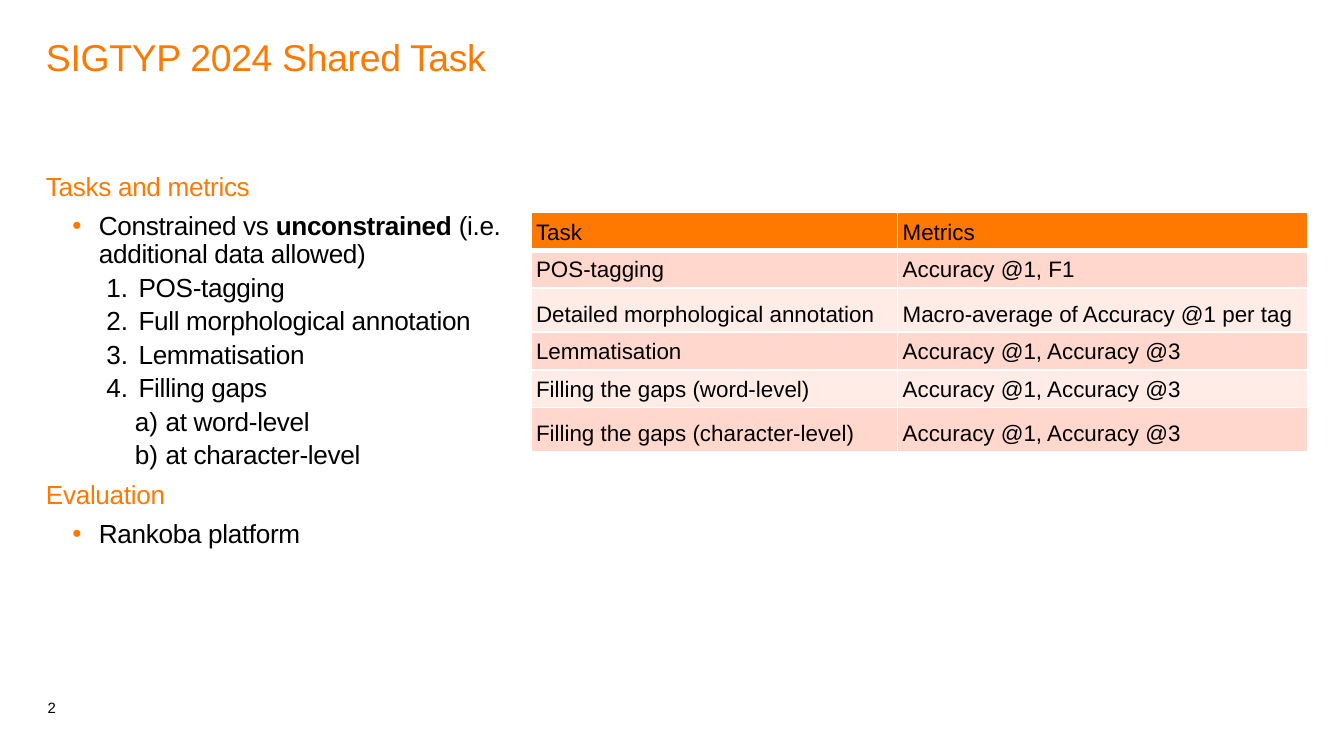
from dataclasses import dataclass

from lxml import etree
from pptx import Presentation
from pptx.dml.color import RGBColor
from pptx.enum.text import MSO_ANCHOR as Anchor
from pptx.oxml.ns import qn
from pptx.util import Cm, Pt

FONT = "Arial"
ORANGE, BLACK, WHITE = "FF7900", "000000", "FFFFFF"
BANDS = ("FFD7CC", "FFECE7")


@dataclass(frozen=True)
class ListStyle:
    level: int
    margin: float  # cm
    hang: float  # cm
    before: float  # pt
    marker: str
    marker_color: str


@dataclass(frozen=True)
class Item:
    runs: tuple[str, ...]  # every second run is bold
    style: ListStyle | None = None  # None marks a heading


BULLET = ListStyle(1, 1.0, 0.5, 6, "•", ORANGE)
NUMBER = ListStyle(2, 1.75, 0.61, 2.8, "arabicPeriod", BLACK)
LETTER = ListStyle(3, 2.26, 0.58, 2.8, "alphaLcParenR", BLACK)

ITEMS = [
    Item(("Tasks and metrics",)),
    Item(("Constrained vs ", "unconstrained", " (i.e. additional data allowed)"), BULLET),
    Item(("POS-tagging",), NUMBER),
    Item(("Full morphological annotation",), NUMBER),
    Item(("Lemmatisation",), NUMBER),
    Item(("Filling gaps",), NUMBER),
    Item(("at word-level",), LETTER),
    Item(("at character-level",), LETTER),
    Item(("Evaluation",)),
    Item(("Rankoba platform",), BULLET),
]

COL_WIDTHS = (6.93, 7.75)
ROWS = [  # height in cm, task, metrics
    (0.71, "Task", "Metrics"),
    (0.71, "POS-tagging", "Accuracy @1, F1"),
    (0.84, "Detailed morphological annotation", "Macro-average of Accuracy @1 per tag"),
    (0.71, "Lemmatisation", "Accuracy @1, Accuracy @3"),
    (0.71, "Filling the gaps (word-level)", "Accuracy @1, Accuracy @3"),
    (0.84, "Filling the gaps (character-level)", "Accuracy @1, Accuracy @3"),
]


def rgb(color: str) -> RGBColor:
    return RGBColor.from_string(color)


def add_run(p, text: str, *, size: float, color: str = BLACK,
            bold: bool = False, spacing: int = 0) -> None:
    r = p.add_run()
    r.text = text
    r.font.name, r.font.size, r.font.bold = FONT, Pt(size), bold
    r.font.color.rgb = rgb(color)
    if spacing:
        r.font._element.set("spc", str(spacing))


def add_box(s, left: float, top: float, width: float, height: float,
            anchor=Anchor.TOP):
    tf = s.shapes.add_textbox(Cm(left), Cm(top), Cm(width), Cm(height)).text_frame
    tf.word_wrap = True
    tf.vertical_anchor = anchor
    tf.margin_left = tf.margin_right = tf.margin_top = tf.margin_bottom = 0
    return tf


def set_marker(p, style: ListStyle) -> None:
    p.level = style.level
    pPr = p._p.get_or_add_pPr()
    pPr.set("marL", str(Cm(style.margin)))
    pPr.set("indent", str(-Cm(style.hang)))
    color = etree.SubElement(pPr, qn("a:buClr"))
    etree.SubElement(color, qn("a:srgbClr"), val=style.marker_color)
    etree.SubElement(pPr, qn("a:buFont"), typeface=FONT)
    if style.marker == "•":
        etree.SubElement(pPr, qn("a:buChar"), char=style.marker)
    else:
        etree.SubElement(pPr, qn("a:buAutoNum"), type=style.marker)


def add_item(p, item: Item) -> None:
    p.line_spacing = 0.9
    p.space_before = Pt(item.style.before if item.style else 6)
    if item.style:
        set_marker(p, item.style)
    for i, text in enumerate(item.runs):
        add_run(p, text, size=14, color=BLACK if item.style else ORANGE,
                bold=i % 2 == 1, spacing=-20)


def set_borders(cell, top: float, bottom: float) -> None:
    tcPr = cell._tc.get_or_add_tcPr()
    for side, width in (("L", 1), ("R", 1), ("T", top), ("B", bottom)):
        ln = etree.SubElement(tcPr, qn(f"a:ln{side}"), w=str(Pt(width)))
        fill = etree.SubElement(ln, qn("a:solidFill"))
        etree.SubElement(fill, qn("a:srgbClr"), val=WHITE)


def add_metrics_table(s, left: float, top: float) -> None:
    height = sum(row[0] for row in ROWS)
    table = s.shapes.add_table(len(ROWS), len(COL_WIDTHS), Cm(left), Cm(top),
                               Cm(sum(COL_WIDTHS)), Cm(height)).table
    table.horz_banding = False
    for column, width in zip(table.columns, COL_WIDTHS):
        column.width = Cm(width)
    for i, (row_height, *texts) in enumerate(ROWS):
        table.rows[i].height = Cm(row_height)
        for j, text in enumerate(texts):
            cell = table.cell(i, j)
            set_borders(cell, top=3 if i == 1 else 1, bottom=3 if i == 0 else 1)
            cell.fill.solid()
            cell.fill.fore_color.rgb = rgb(BANDS[(i - 1) % 2] if i else ORANGE)
            cell.vertical_anchor = Anchor.BOTTOM
            cell.margin_left = cell.margin_right = Cm(0.1)
            cell.margin_top = cell.margin_bottom = Cm(0.1)
            add_run(cell.text_frame.paragraphs[0], text, size=12)


def main() -> None:
    prs = Presentation()
    prs.slide_width, prs.slide_height = Cm(25.4), Cm(14.29)
    s = prs.slides.add_slide(prs.slide_layouts[6])

    # Page number
    tf = add_box(s, 0.87, 12.6, 0.76, 0.94, Anchor.BOTTOM)
    tf.margin_left = Cm(0.03)
    p = tf.paragraphs[0]
    p.line_spacing, p.space_after = 0.85, Pt(12)
    add_run(p, "2", size=8)

    # Title
    p = add_box(s, 0.87, 0.74, 23.65, 2.06).paragraphs[0]
    p.line_spacing = 0.9
    add_run(p, "SIGTYP 2024 Shared Task", size=20, color=ORANGE, spacing=-20)

    # Tasks and evaluation
    tf = add_box(s, 0.87, 3.28, 8.64, 9.37)
    for i, item in enumerate(ITEMS):
        add_item(tf.add_paragraph() if i else tf.paragraphs[0], item)

    # Metrics per task
    add_metrics_table(s, 10.03, 4.02)

    prs.save("out.pptx")


if __name__ == "__main__":
    main()
